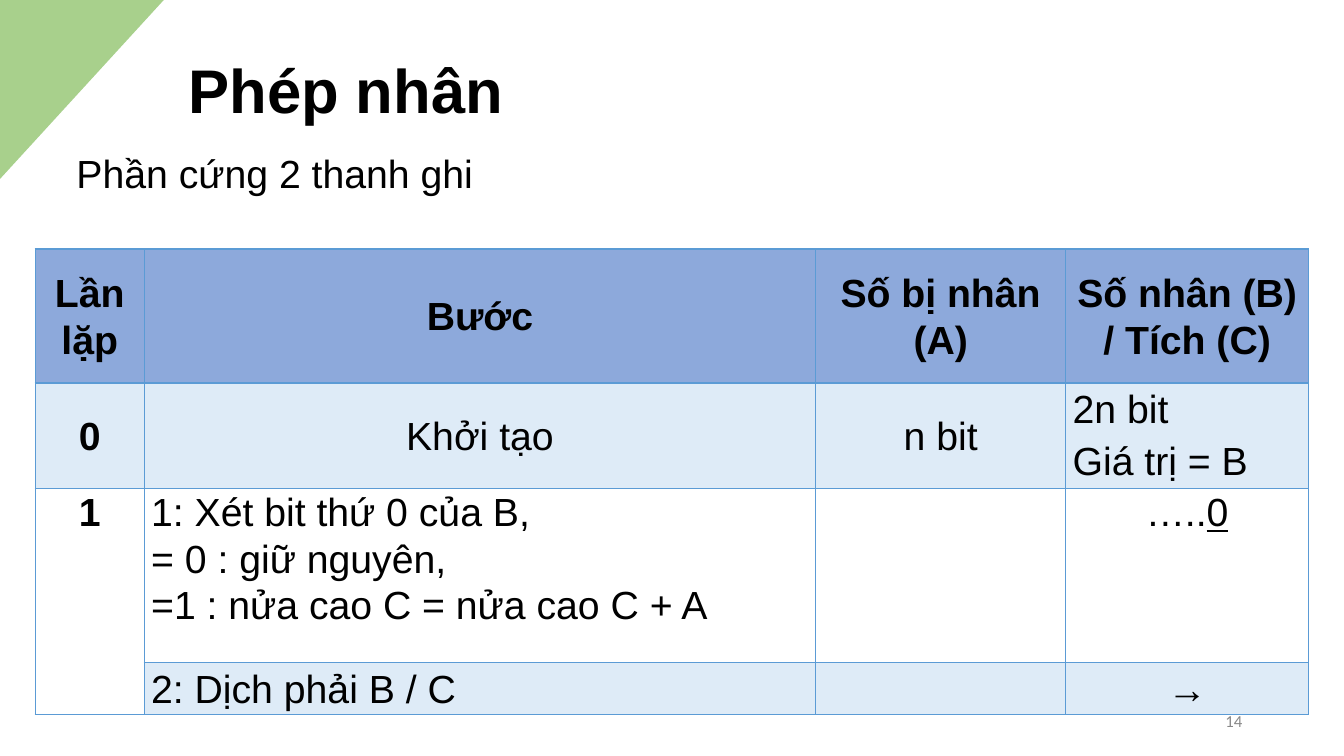
from lxml import etree
from pptx import Presentation
from pptx.dml.color import RGBColor
from pptx.enum.text import MSO_ANCHOR as Anchor, PP_ALIGN as Align
from pptx.oxml.ns import qn
from pptx.util import Inches, Pt

BLACK = RGBColor(0x00, 0x00, 0x00)
GREY = RGBColor(0x88, 0x88, 0x88)
GREEN = RGBColor(0xA8, 0xD0, 0x8C)
HEADER_BLUE = RGBColor(0x8D, 0xA9, 0xDB)
PALE_BLUE = RGBColor(0xDE, 0xEB, 0xF7)
BORDER_BLUE = RGBColor(0x5B, 0x9B, 0xD5)

COLUMN_WIDTHS = [1.08, 6.66, 2.48, 2.41]
ROW_HEIGHTS = [1.33, 1.05, 1.72, 0.52]
ROW_FILLS = [HEADER_BLUE, PALE_BLUE, None, PALE_BLUE]
ROW_ANCHORS = [Anchor.MIDDLE, Anchor.MIDDLE, Anchor.TOP, Anchor.MIDDLE]
# Each cell is a list of paragraphs.
ROWS = [
    [["Lần lặp"], ["Bước"], ["Số bị nhân", "(A)"], ["Số nhân (B) / Tích (C)"]],
    [["0"], ["Khởi tạo"], ["n bit"], ["2n bit", "Giá trị = B"]],
    [["1"],
     ["1: Xét bit thứ 0 của B,", "= 0 : giữ nguyên,",
      "=1 : nửa cao C = nửa cao C + A"],
     [], ["….."]],
    [[], ["2: Dịch phải B / C"], [], ["→"]],
]
JUSTIFIED_CELLS = {(1, 3), (2, 1), (3, 1)}


def set_font(font, size, color=BLACK, name="Arial", bold=False):
    font.name, font.size, font.bold = name, Pt(size), bold
    font.color.rgb = color


def add_text(slide, text, left, top, width, height, size,
             anchor=Anchor.TOP, align=Align.LEFT, spacing=None, **style):
    box = slide.shapes.add_textbox(
        Inches(left), Inches(top), Inches(width), Inches(height))
    frame = box.text_frame
    frame.word_wrap = True
    frame.vertical_anchor = anchor
    paragraph = frame.paragraphs[0]
    paragraph.text = text
    paragraph.alignment = align
    paragraph.line_spacing = spacing
    set_font(paragraph.font, size, **style)


def add_corner(slide):
    start, *others = [(Inches(x), Inches(y)) for x, y in
                      [(-0.04, -0.03), (-0.05, 1.83), (1.67, -0.05)]]
    builder = slide.shapes.build_freeform(*start)
    builder.add_line_segments(others, close=True)
    corner = builder.convert_to_shape()
    corner.shadow.inherit = False
    corner.fill.solid()
    corner.fill.fore_color.rgb = GREEN
    corner.line.fill.background()


def set_borders(cell, bottom_width):
    properties = cell._tc.get_or_add_tcPr()
    widths = {"lnL": 1, "lnR": 1, "lnT": 1, "lnB": bottom_width}
    for position, (side, width) in enumerate(widths.items()):
        line = etree.Element(qn(f"a:{side}"), w=str(Pt(width)))
        fill = etree.SubElement(line, qn("a:solidFill"))
        etree.SubElement(fill, qn("a:srgbClr"), val=str(BORDER_BLUE))
        properties.insert(position, line)


def fill_cell(cell, lines, row, column):
    cell.margin_left = cell.margin_right = Inches(0.07)
    cell.margin_top = cell.margin_bottom = 0
    cell.vertical_anchor = ROW_ANCHORS[row]
    if ROW_FILLS[row] is None or (row, column) == (3, 0):
        cell.fill.background()
    else:
        cell.fill.solid()
        cell.fill.fore_color.rgb = ROW_FILLS[row]
    set_borders(cell, bottom_width=2 if row == 0 else 1)

    frame = cell.text_frame
    frame.text = "\n".join(lines)
    justified = (row, column) in JUSTIFIED_CELLS
    for paragraph in frame.paragraphs:
        paragraph.alignment = Align.JUSTIFY if justified else Align.CENTER
        paragraph.line_spacing = 1.06
        set_font(paragraph.font, 28, bold=row == 0 or column == 0)


def add_steps_table(slide):
    table = slide.shapes.add_table(
        len(ROWS), len(COLUMN_WIDTHS), Inches(0.35), Inches(2.47),
        Inches(sum(COLUMN_WIDTHS)), Inches(sum(ROW_HEIGHTS))).table
    table.first_row = table.horz_banding = False
    for column, width in zip(table.columns, COLUMN_WIDTHS):
        column.width = Inches(width)
    for row, height in zip(table.rows, ROW_HEIGHTS):
        row.height = Inches(height)
    for row, cells in enumerate(ROWS):
        for column, lines in enumerate(cells):
            fill_cell(table.cell(row, column), lines, row, column)
    table.cell(2, 0).merge(table.cell(3, 0))

    product_lines = table.cell(1, 3).text_frame.paragraphs
    for paragraph in product_lines:
        paragraph.line_spacing = 1.0
    product_lines[1].space_before = Pt(6)

    lowest_bit = table.cell(2, 3).text_frame.paragraphs[0].add_run()
    lowest_bit.text = "0"
    lowest_bit.font.underline = True


def main():
    presentation = Presentation()
    presentation.slide_width = Inches(13.33)
    presentation.slide_height = Inches(7.5)
    slide = presentation.slides.add_slide(presentation.slide_layouts[6])

    add_text(slide, "Phép nhân", 1.77, 0.61, 10.11, 1.23, 44,
             spacing=0.8, bold=True)
    add_text(slide, "Phần cứng 2 thanh ghi", 0.66, 1.43, 4.18, 0.57, 28)
    add_steps_table(slide)
    add_corner(slide)
    add_text(slide, "14", 9.42, 6.95, 3, 0.4, 12, anchor=Anchor.MIDDLE,
             align=Align.RIGHT, color=GREY, name="Calibri")
    presentation.save("out.pptx")


if __name__ == "__main__":
    main()
